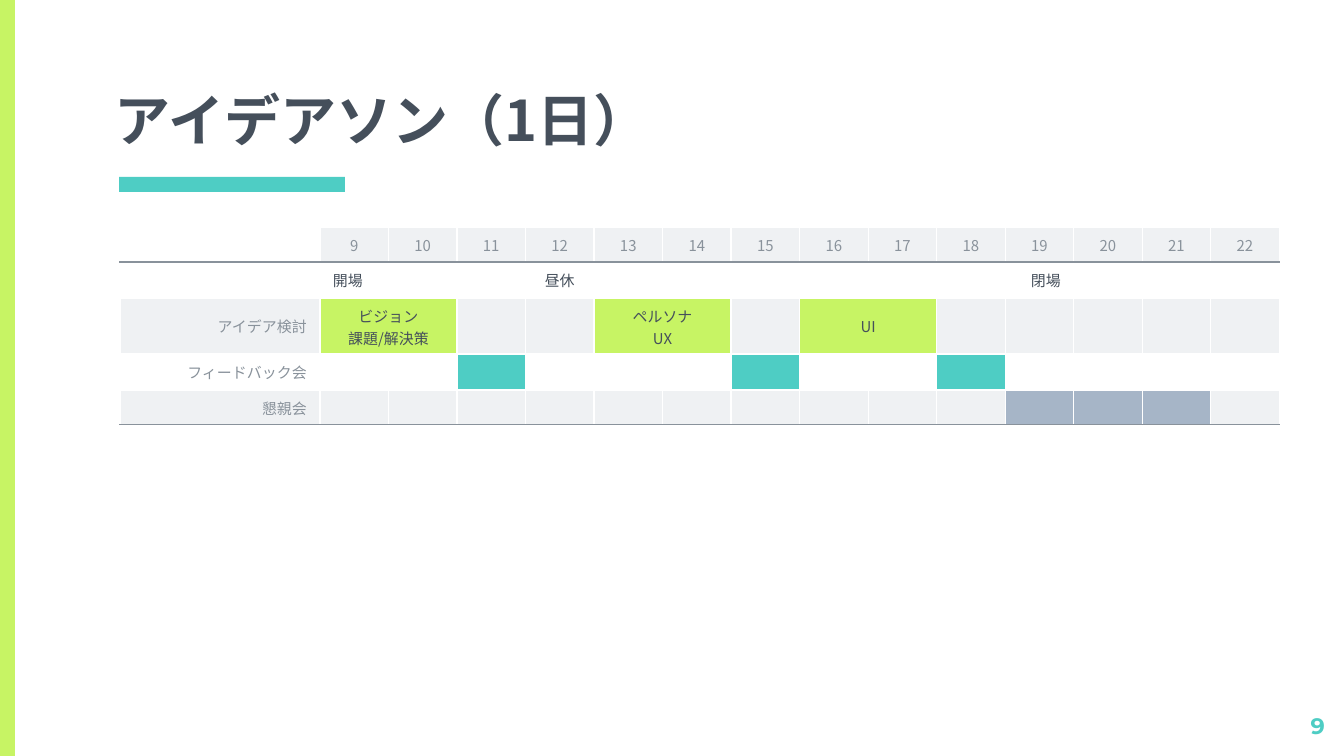
from lxml import etree
from pptx import Presentation
from pptx.dml.color import RGBColor
from pptx.enum.shapes import MSO_SHAPE
from pptx.enum.text import MSO_ANCHOR, PP_ALIGN
from pptx.oxml.ns import qn
from pptx.util import Pt

RECT = MSO_SHAPE.RECTANGLE
LEFT, CENTER, RIGHT = PP_ALIGN.LEFT, PP_ALIGN.CENTER, PP_ALIGN.RIGHT
TOP, MIDDLE, BOTTOM = MSO_ANCHOR.TOP, MSO_ANCHOR.MIDDLE, MSO_ANCHOR.BOTTOM

EMU_PER_PX = 914400 / 134.4
SLIDE_W, SLIDE_H = 1344, 756
JAPANESE, LATIN = "Noto Sans CJK JP", "Montserrat"
LIME, TEAL, SLATE = "C7F464", "4ECDC4", "A6B5C7"
INK, GREY, PALE, WHITE = "454F5B", "89929B", "EFF1F3", "FFFFFF"
TABLE_PT = 8

HOURS = range(9, 23)
ROW_HEIGHTS = [35, 36, 56, 36, 35]
ROW_LABELS = ["", "", "アイデア検討", "フィードバック会", "懇親会"]
ROW_FILLS = [PALE, None, PALE, None, PALE]
# start hour: (text, alignment)
VENUE_TIMES = {9: ("開場", LEFT), 12: ("昼休", CENTER), 19: ("閉場", RIGHT)}
# (first hour, lines of text), each two hours long
IDEA_SESSIONS = [(9, ["ビジョン", "課題/解決策"]), (13, ["ペルソナ", "UX"]), (16, ["UI"])]
FEEDBACK_HOURS = [11, 15, 18]
PARTY_HOURS = [19, 20, 21]


def px(length):
    return round(length * EMU_PER_PX)


def color(hex_code):
    return RGBColor.from_string(hex_code)


def add_run(paragraph, text, size, hex_code, font=JAPANESE, bold=False):
    run = paragraph.add_run()
    run.text = text
    run.font.size = Pt(size)
    run.font.name = font
    run.font.bold = bold
    run.font.color.rgb = color(hex_code)
    east_asian = etree.SubElement(run.font._element, qn("a:ea"))
    east_asian.set("typeface", font)


def add_bar(slide, x, y, w, h, hex_code):
    bar = slide.shapes.add_shape(RECT, px(x), px(y), px(w), px(h))
    bar.shadow.inherit = False
    bar.fill.solid()
    bar.fill.fore_color.rgb = color(hex_code)
    bar.line.fill.background()


def add_label(slide, x, y, w, h, text, size, hex_code, font, align, anchor):
    frame = slide.shapes.add_textbox(px(x), px(y), px(w), px(h)).text_frame
    frame.word_wrap = True
    frame.vertical_anchor = anchor
    frame.margin_left = frame.margin_right = px(13)
    frame.margin_top = frame.margin_bottom = px(13)
    frame.paragraphs[0].alignment = align
    add_run(frame.paragraphs[0], text, size, hex_code, font, bold=True)


def add_heading(slide, x, y, w, h):
    add_label(slide, x - 17, y, w, h, "アイデアソン（1日）", 30, INK, JAPANESE, LEFT, BOTTOM)
    add_bar(slide, x, y + 84, 226, 15, TEAL)


def style_cell(cell, fill, top=WHITE, bottom=WHITE):
    properties = cell._tc.get_or_add_tcPr()
    for side, hex_code in (("L", WHITE), ("R", WHITE), ("T", top), ("B", bottom)):
        border = etree.SubElement(properties, qn(f"a:ln{side}"), w=str(Pt(0.75)))
        solid = etree.SubElement(border, qn("a:solidFill"))
        etree.SubElement(solid, qn("a:srgbClr"), val=hex_code)
    if fill:
        cell.fill.solid()
        cell.fill.fore_color.rgb = color(fill)
    else:
        cell.fill.background()
    cell.vertical_anchor = MIDDLE
    cell.margin_left = cell.margin_right = px(13)
    cell.margin_top = cell.margin_bottom = px(7)
    # keeps empty cells from growing past their row height
    end = cell.text_frame.paragraphs[0]._p.get_or_add_endParaRPr()
    end.set("sz", str(TABLE_PT * 100))


def write_cell(cell, lines, hex_code, align):
    frame = cell.text_frame
    for index, line in enumerate(lines):
        paragraph = frame.add_paragraph() if index else frame.paragraphs[0]
        paragraph.alignment = align
        add_run(paragraph, line, TABLE_PT, hex_code)


def paint(cell, hex_code):
    cell.fill.solid()
    cell.fill.fore_color.rgb = color(hex_code)


def add_timetable(slide, x, y, w, label_w):
    frame = slide.shapes.add_table(len(ROW_HEIGHTS), len(HOURS) + 1,
                                   px(x), px(y), px(w), px(sum(ROW_HEIGHTS)))
    table = frame.table
    table.first_row = table.horz_banding = False
    table.columns[0].width = px(label_w)
    for column in range(1, len(HOURS) + 1):
        table.columns[column].width = px((w - label_w) / len(HOURS))

    def hour_cell(row, hour):
        return table.cell(row, hour - HOURS[0] + 1)

    # Grid and row labels
    last_row = len(ROW_HEIGHTS) - 1
    for row, height in enumerate(ROW_HEIGHTS):
        table.rows[row].height = px(height)
        top = GREY if row == 1 else WHITE
        bottom = GREY if row in (0, last_row) else WHITE
        for column in range(len(HOURS) + 1):
            corner = row == 0 and column == 0
            style_cell(table.cell(row, column), None if corner else ROW_FILLS[row], top, bottom)
        if ROW_LABELS[row]:
            write_cell(table.cell(row, 0), [ROW_LABELS[row]], GREY, RIGHT)

    # Hours and venue times
    for hour in HOURS:
        write_cell(hour_cell(0, hour), [str(hour)], GREY, CENTER)
    for hour, (text, align) in VENUE_TIMES.items():
        write_cell(hour_cell(1, hour), [text], INK, align)

    # Sessions
    for hour, lines in IDEA_SESSIONS:
        session = hour_cell(2, hour)
        session.merge(hour_cell(2, hour + 1))
        paint(session, LIME)
        write_cell(session, lines, INK, CENTER)
    for row, hours, hex_code in ((3, FEEDBACK_HOURS, TEAL), (4, PARTY_HOURS, SLATE)):
        for hour in hours:
            paint(hour_cell(row, hour), hex_code)


def main():
    deck = Presentation()
    deck.slide_width, deck.slide_height = px(SLIDE_W), px(SLIDE_H)
    slide = deck.slides.add_slide(deck.slide_layouts[6])
    add_bar(slide, 0, 0, 15, SLIDE_H, LIME)
    add_heading(slide, 119, 93, 1141, 73)
    # Page number
    add_label(slide, 1258, 699, 80, 46, "9", 12, TEAL, LATIN, RIGHT, TOP)
    add_timetable(slide, 120, 227, 1160, 200)
    deck.save("out.pptx")


if __name__ == "__main__":
    main()
